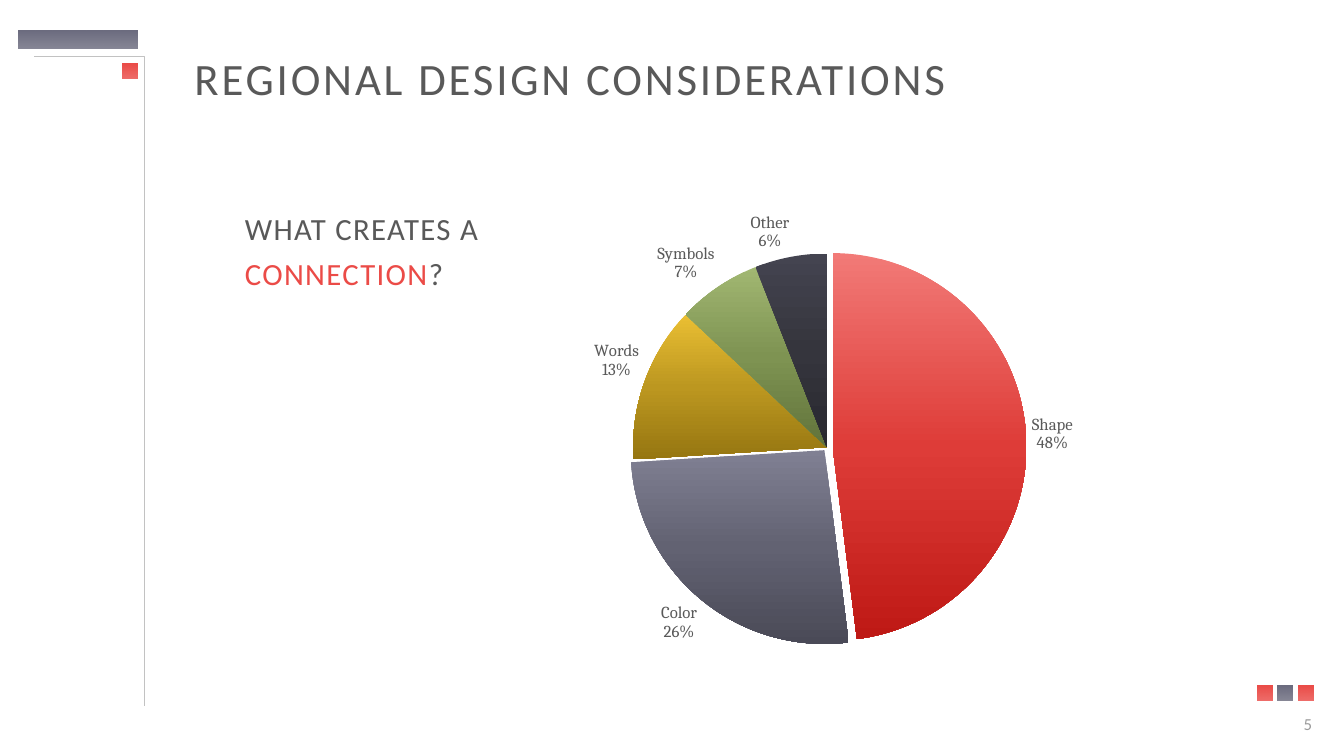
from dataclasses import dataclass

from lxml.etree import SubElement
from pptx import Presentation
from pptx.chart.data import CategoryChartData
from pptx.dml.color import RGBColor
from pptx.enum.chart import XL_CHART_TYPE, XL_LABEL_POSITION
from pptx.enum.shapes import MSO_SHAPE
from pptx.enum.text import MSO_ANCHOR, MSO_AUTO_SIZE, PP_ALIGN
from pptx.oxml import parse_xml
from pptx.oxml.ns import nsdecls, qn
from pptx.util import Cm, Pt


@dataclass(frozen=True)
class Theme:
    red: str = "EB4B47"
    slate: str = "6B6B7E"
    rule: str = "C2C2C2"
    ink: str = "595959"
    faint: str = "9B9B9B"
    sans: str = "Calibri"
    serif: str = "Cambria"
    title_size: int = 32
    body_size: int = 22
    small_size: int = 12


THEME = Theme()

# Content
TITLE = "REGIONAL DESIGN CONSIDERATIONS"
QUESTION = [("WHAT CREATES A ", THEME.ink), ("CONNECTION", THEME.red), ("?", THEME.ink)]
PAGE_NUMBER = "5"
# Category, share, gradient from top to bottom, explosion in percent
SLICES = [
    ("Shape", 48, ("F27A77", "DE3C38", "BE1915"), 3),
    ("Color", 26, ("808093", "626272", "4A4A57"), 2),
    ("Words", 13, ("EABF33", "BC9720", "967611"), 0),
    ("Symbols", 7, ("A1B772", "7E9352", "61733B"), 0),
    ("Other", 6, ("444450", "35353D", "28282F"), 0),
]

# Positions in centimetres
TITLE_BOX = (4.9, 1.22, 23.24, 1.45)
QUESTION_BOX = (6.17, 4.98, 6.5, 11.33)
CHART_BOX = (13.64, 3.63, 14.53, 14.15)
NUMBER_BOX = (32, 17.98, 1.07, 0.56)
PLOT = {"x": 0.159, "y": 0.195, "w": 0.673, "h": 0.69}
CORNER_RULE = [(3.64, 17.78), (3.64, 1.42), (0.86, 1.42)]
SQUARE, SQUARE_PITCH = 0.38, 0.52
BLOCKS = [((0.46, 0.76, 3, 0.46), THEME.slate),
          ((3.08, 1.6, SQUARE, SQUARE), THEME.red)]
BLOCKS += [((31.68 + i * SQUARE_PITCH, 17.27, SQUARE, SQUARE), color)
           for i, color in enumerate((THEME.red, THEME.slate, THEME.red))]


def cm(lengths):
    return [Cm(length) for length in lengths]


def fill_gradient(fill, properties, colors, end_alpha=100):
    """Spread the colours evenly from top to bottom."""
    fill.gradient()
    fill.gradient_angle = 270
    stops = properties.find(qn("a:gradFill")).find(qn("a:gsLst"))
    for stop in list(stops):
        stops.remove(stop)
    last = len(colors) - 1
    for i, color in enumerate(colors):
        stop = SubElement(stops, qn("a:gs"), pos=str(100000 * i // last))
        tint = SubElement(stop, qn("a:srgbClr"), val=color)
        if i == last and end_alpha < 100:
            SubElement(tint, qn("a:alpha"), val=str(end_alpha * 1000))


def style_font(font, size, color, face):
    font.size, font.name = Pt(size), face
    font.color.rgb = RGBColor.from_string(color)


def add_run(paragraph, text, size, color, spacing=0):
    run = paragraph.add_run()
    run.text = text
    style_font(run.font, size, color, THEME.sans)
    if spacing:
        run.font._element.set("spc", str(spacing * 100))


def prepare(shape, box, inset, anchor=MSO_ANCHOR.TOP):
    """Place a text shape and return its first paragraph."""
    shape.left, shape.top, shape.width, shape.height = cm(box)
    frame = shape.text_frame
    frame.word_wrap, frame.auto_size = True, MSO_AUTO_SIZE.NONE
    frame.vertical_anchor = anchor
    frame.margin_left = frame.margin_right = 0
    frame.margin_top = frame.margin_bottom = Cm(inset)
    return frame.paragraphs[0]


presentation = Presentation()
presentation.slide_width, presentation.slide_height = Cm(33.87), Cm(19.05)
slide = presentation.slides.add_slide(presentation.slide_layouts[1])
shapes = slide.shapes

# Corner rule and blocks
corner, *bends = [cm(point) for point in CORNER_RULE]
builder = shapes.build_freeform(*corner)
builder.add_line_segments(bends, close=False)
rule = builder.convert_to_shape()
rule.shadow.inherit = False
rule.fill.background()
rule.line.color.rgb = RGBColor.from_string(THEME.rule)
rule.line.width = Pt(1)

for box, color in BLOCKS:
    block = shapes.add_shape(MSO_SHAPE.RECTANGLE, *cm(box))
    block.shadow.inherit = False
    block.line.fill.background()
    fill_gradient(block.fill, block._element.spPr, (color, color), end_alpha=80)

# Title and question
heading = prepare(shapes.title, TITLE_BOX, 0.13, MSO_ANCHOR.MIDDLE)
heading.alignment = PP_ALIGN.LEFT
add_run(heading, TITLE, THEME.title_size, THEME.ink, spacing=2)

question = prepare(slide.placeholders[1], QUESTION_BOX, 0.13)
question.line_spacing, question.space_before = 1.2, Pt(12)
bullet_properties = question._p.get_or_add_pPr()
bullet_properties.set("marL", "0")
bullet_properties.set("indent", "0")
SubElement(bullet_properties, qn("a:buNone"))
for text, color in QUESTION:
    add_run(question, text, THEME.body_size, color, spacing=1)

# Pie chart
shares = CategoryChartData()
shares.categories = [name for name, *_ in SLICES]
shares.add_series("Series 1", [share for _, share, *_ in SLICES])
pie = shapes.add_chart(XL_CHART_TYPE.PIE, *cm(CHART_BOX), shares).chart
pie.has_title = pie.has_legend = False
style_font(pie.font, THEME.small_size, THEME.ink, THEME.serif)

plot = pie.plots[0]
plot.vary_by_categories = True
for i, (_, _, colors, explosion) in enumerate(SLICES):
    point = plot.series[0].points[i]
    point.format.line.fill.background()
    data_point = plot.series[0]._element.findall(qn("c:dPt"))[i]
    properties = data_point.find(qn("c:spPr"))
    fill_gradient(point.format.fill, properties, colors)
    if explosion:
        properties.addprevious(
            parse_xml(f'<c:explosion {nsdecls("c")} val="{explosion}"/>'))

plot.has_data_labels = True
labels = plot.data_labels
labels.show_category_name = labels.show_percentage = True
labels.show_value = False
labels.number_format, labels.number_format_is_linked = "0%", False
labels.position = XL_LABEL_POSITION.OUTSIDE_END
style_font(labels.font, THEME.small_size, THEME.ink, THEME.serif)

# Fixed plot area
plot_area = pie._chartSpace.chart.plotArea
for layout in plot_area.findall(qn("c:layout")):
    plot_area.remove(layout)
edges = "".join(f'<c:{edge}Mode val="edge"/>' for edge in "xy")
sizes = "".join(f'<c:{side} val="{part}"/>' for side, part in PLOT.items())
plot_area.insert(0, parse_xml(
    f'<c:layout {nsdecls("c")}><c:manualLayout><c:layoutTarget val="inner"/>'
    f"{edges}{sizes}</c:manualLayout></c:layout>"))

# Page number
number = prepare(shapes.add_textbox(*cm(NUMBER_BOX)), NUMBER_BOX, 0)
number.alignment = PP_ALIGN.RIGHT
add_run(number, PAGE_NUMBER, THEME.small_size, THEME.faint)

presentation.save("out.pptx")
